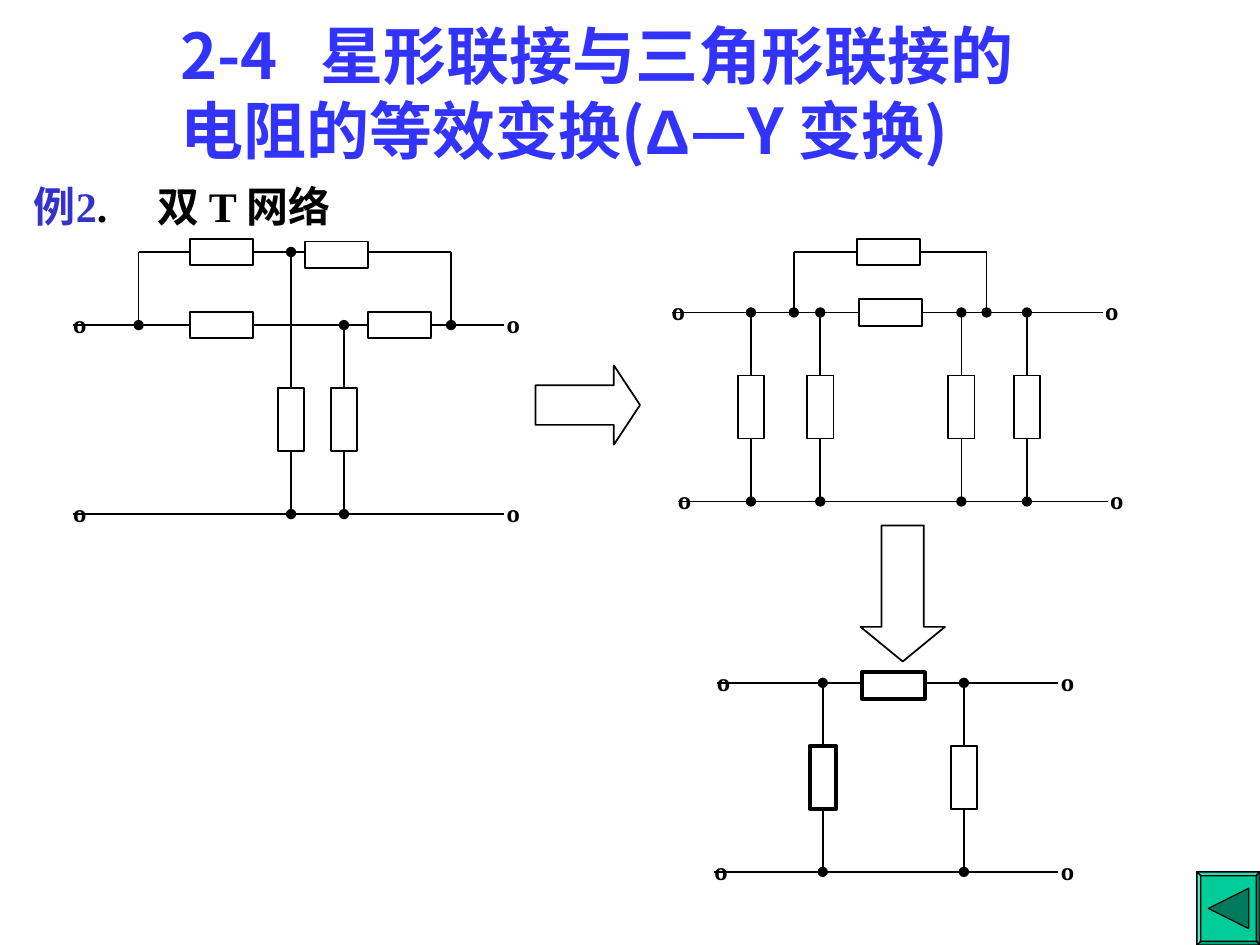
"""Build a slide that reduces a twin-T network with star-delta conversions."""
from dataclasses import dataclass

from lxml.etree import SubElement
from pptx import Presentation
from pptx.dml.color import RGBColor as Color
from pptx.enum.shapes import MSO_CONNECTOR as Connector, MSO_SHAPE as Shape
from pptx.enum.text import MSO_ANCHOR as Anchor, MSO_AUTO_SIZE as AutoSize, PP_ALIGN as Align
from pptx.oxml.ns import qn
from pptx.util import Inches, Pt


@dataclass(frozen=True)
class Theme:
    ink: str = "000000"
    paper: str = "FFFFFF"
    title: str = "3333FF"
    example: str = "3333CC"
    title_size: int = 36
    body_size: int = 24
    thin: float = 1
    thick: float = 2.25
    edge: float = 0.75
    serif: str = "Times New Roman"
    sans: str = "Arial"
    chinese: str = "Noto Sans CJK SC"


THEME = Theme()

TITLE_RUNS = [
    ("2-4\t星形联接与三角形联接的电阻的等效变换(", THEME.chinese, THEME.title),
    ("Δ", THEME.sans, THEME.title),
    ("—Y 变换)", THEME.chinese, THEME.title),
]
EXAMPLE_RUNS = [
    ("例2", THEME.serif, THEME.example),
    (".\t双 T 网络", THEME.serif, THEME.ink),
]

CIRCUITS = [
    {
        "rails": [(0.58, 4, 2.58), (0.58, 4, 4.08)],
        "loop": (1.1, 3.58, 2),
        "branches": [(2.73, 2.58, THEME.thin), (2.31, 2, THEME.thin)],
        "series": [(3.17, 2.58, THEME.thin), (1.76, 2.58, THEME.thin),
                   (2.67, 2.02, THEME.thin), (1.76, 2, THEME.thin)],
    },
    {
        "rails": [(5.33, 8.75, 2.48), (5.38, 8.79, 3.98)],
        "loop": (6.3, 7.83, 2),
        "branches": [(x, 2.48, THEME.thin) for x in (5.96, 6.51, 7.63, 8.15)],
        "series": [(7.07, 2.48, THEME.thin), (7.05, 2, THEME.thin)],
    },
    {
        "rails": [(5.69, 8.4, 5.42), (5.67, 8.4, 6.92)],
        "loop": None,
        "branches": [(6.53, 5.42, THEME.thick), (7.65, 5.42, THEME.thin)],
        "series": [(7.09, 5.44, THEME.thick)],
    },
]
RESISTOR_WIDTH, RESISTOR_LENGTH, RESISTOR_DROP = 0.21, 0.5, 0.5

ARROWS = [
    (Shape.RIGHT_ARROW, (4.25, 2.9, 0.83, 0.63), 0.33),
    (Shape.DOWN_ARROW, (6.83, 4.17, 0.67, 1.08), 0.41),
]

OUTER = [(9.5, 6.92), (10, 6.92), (10, 7.5), (9.5, 7.5)]
INNER = [(9.53, 6.95), (9.97, 6.95), (9.97, 7.47), (9.53, 7.47)]
BUTTON_FACE = "00CC99"
BEVEL_COLOURS = ["33D6AD", "007A5C", "00A37A", "66E0C2"]
BUTTON_ICON = ([(9.59, 7.21), (9.91, 7.05), (9.91, 7.37)], "007A5C")


def paint(shape, fill, weight):
    shape.shadow.inherit = False
    shape.fill.solid()
    shape.fill.fore_color.rgb = Color.from_string(fill)
    shape.line.color.rgb = Color.from_string(THEME.ink)
    shape.line.width = Pt(weight)


def place(shape, left, top, width, height):
    shape.left, shape.top = Inches(left), Inches(top)
    shape.width, shape.height = Inches(width), Inches(height)


def write(shape, runs, size, tab=None, align=Align.LEFT, anchor=Anchor.TOP):
    frame = shape.text_frame
    frame.word_wrap = True
    frame.auto_size = AutoSize.NONE
    frame.vertical_anchor = anchor
    paragraph = frame.paragraphs[0]
    paragraph.alignment = align
    if tab:
        tabs = SubElement(paragraph._p.get_or_add_pPr(), qn("a:tabLst"))
        SubElement(tabs, qn("a:tab"), pos=str(Inches(tab)), algn="l")
    for text, font, colour in runs:
        run = paragraph.add_run()
        run.text = text
        run.font.name = font
        run.font.size = Pt(size)
        run.font.bold = True
        run.font.color.rgb = Color.from_string(colour)
        SubElement(run._r.get_or_add_rPr(), qn("a:ea"), typeface=THEME.chinese)


def add_wire(slide, start, end, dots=()):
    wire = slide.shapes.add_connector(
        Connector.STRAIGHT, *(Inches(value) for value in (*start, *end)))
    wire.line.color.rgb = Color.from_string(THEME.ink)
    wire.line.width = Pt(THEME.thin)
    for dot in dots:
        SubElement(wire.line._get_or_add_ln(), qn(f"a:{dot}"), type="oval")
    SubElement(wire._element.spPr, qn("a:effectLst"))


def add_resistor(slide, x, y, weight, rotation=0):
    box = (x - RESISTOR_WIDTH / 2, y - RESISTOR_LENGTH / 2, RESISTOR_WIDTH, RESISTOR_LENGTH)
    resistor = slide.shapes.add_shape(Shape.RECTANGLE, *map(Inches, box))
    resistor.rotation = rotation
    paint(resistor, THEME.paper, weight)


def add_terminal(slide, left, top):
    terminal = slide.shapes.add_textbox(*map(Inches, (left, top, 0.2, 0.5)))
    write(terminal, [("º", THEME.serif, THEME.ink)], THEME.body_size,
          align=Align.CENTER, anchor=Anchor.MIDDLE)


def add_circuit(slide, circuit):
    upper, lower = (rail[2] for rail in circuit["rails"])
    for left, right, y in circuit["rails"]:
        add_wire(slide, (left, y), (right, y))
    if circuit["loop"]:
        left, right, y = circuit["loop"]
        add_wire(slide, (left, y), (right, y))
        for x in (left, right):
            add_wire(slide, (x, y), (x, upper), ["tailEnd"])
    for x, top, weight in circuit["branches"]:
        add_wire(slide, (x, top), (x, lower), ["headEnd", "tailEnd"])
        add_resistor(slide, x, upper + RESISTOR_DROP + RESISTOR_LENGTH / 2, weight)
    for x, y, weight in circuit["series"]:
        add_resistor(slide, x, y, weight, rotation=270)
    for left, right, y in circuit["rails"]:
        add_terminal(slide, left - 0.1, y - 0.19)
        add_terminal(slide, right - 0.08, y - 0.19)


def add_polygon(slide, points, fill):
    corners = [(Inches(x), Inches(y)) for x, y in points]
    builder = slide.shapes.build_freeform(*corners[0])
    builder.add_line_segments(corners[1:], close=True)
    paint(builder.convert_to_shape(), fill, THEME.edge)


def add_back_button(slide):
    add_polygon(slide, OUTER, BUTTON_FACE)
    for side, colour in enumerate(BEVEL_COLOURS):
        following = (side + 1) % len(OUTER)
        add_polygon(slide, [OUTER[side], OUTER[following], INNER[following], INNER[side]], colour)
    add_polygon(slide, *BUTTON_ICON)


def main():
    presentation = Presentation()
    presentation.slide_width, presentation.slide_height = Inches(10), Inches(7.5)
    slide = presentation.slides.add_slide(presentation.slide_layouts[5])

    title = slide.shapes.title
    place(title, 1.33, 0.08, 7.12, 1.3)
    write(title, TITLE_RUNS, THEME.title_size, tab=1.11)

    example = slide.shapes.add_textbox(*map(Inches, (0.17, 1.38, 2.75, 0.5)))
    write(example, EXAMPLE_RUNS, THEME.body_size, tab=0.98)

    for kind, box, head in ARROWS:
        arrow = slide.shapes.add_shape(kind, *map(Inches, box))
        arrow.adjustments[1] = head
        paint(arrow, THEME.paper, THEME.thin)
    for circuit in CIRCUITS:
        add_circuit(slide, circuit)
    add_back_button(slide)
    presentation.save("out.pptx")


if __name__ == "__main__":
    main()
